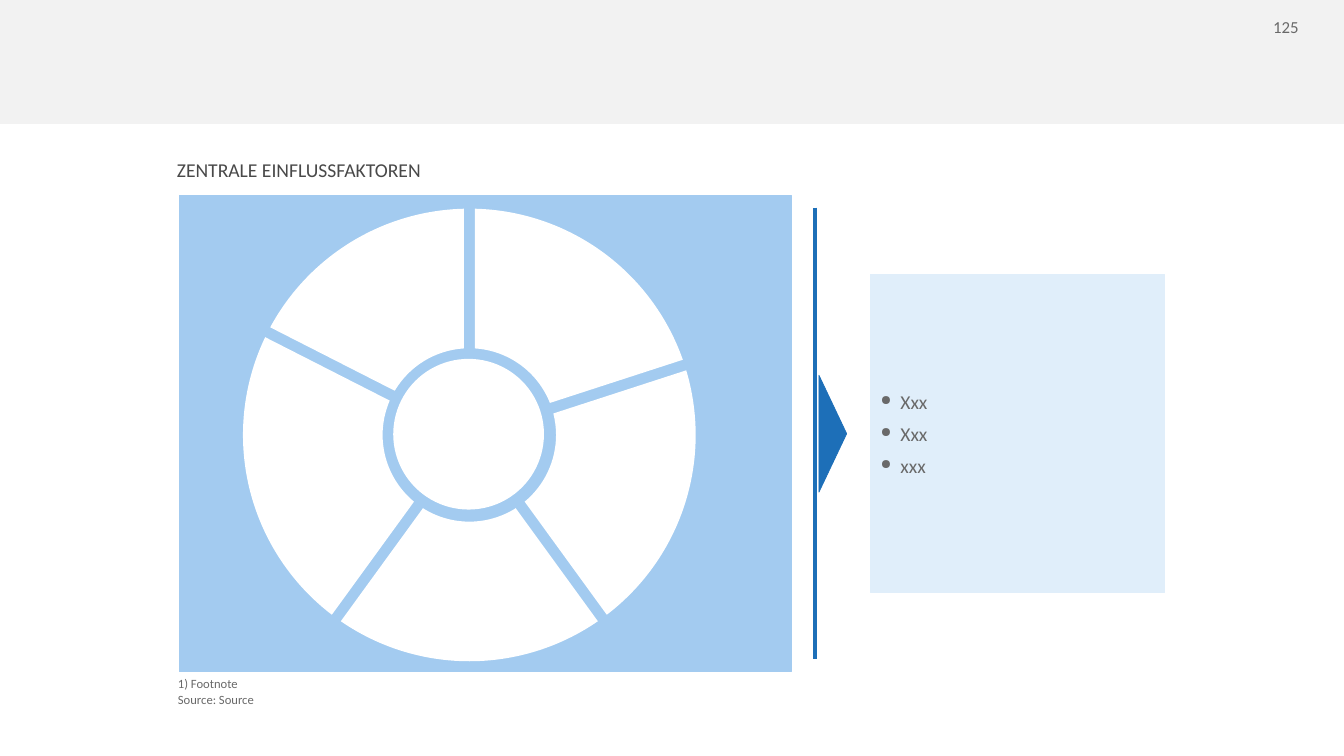
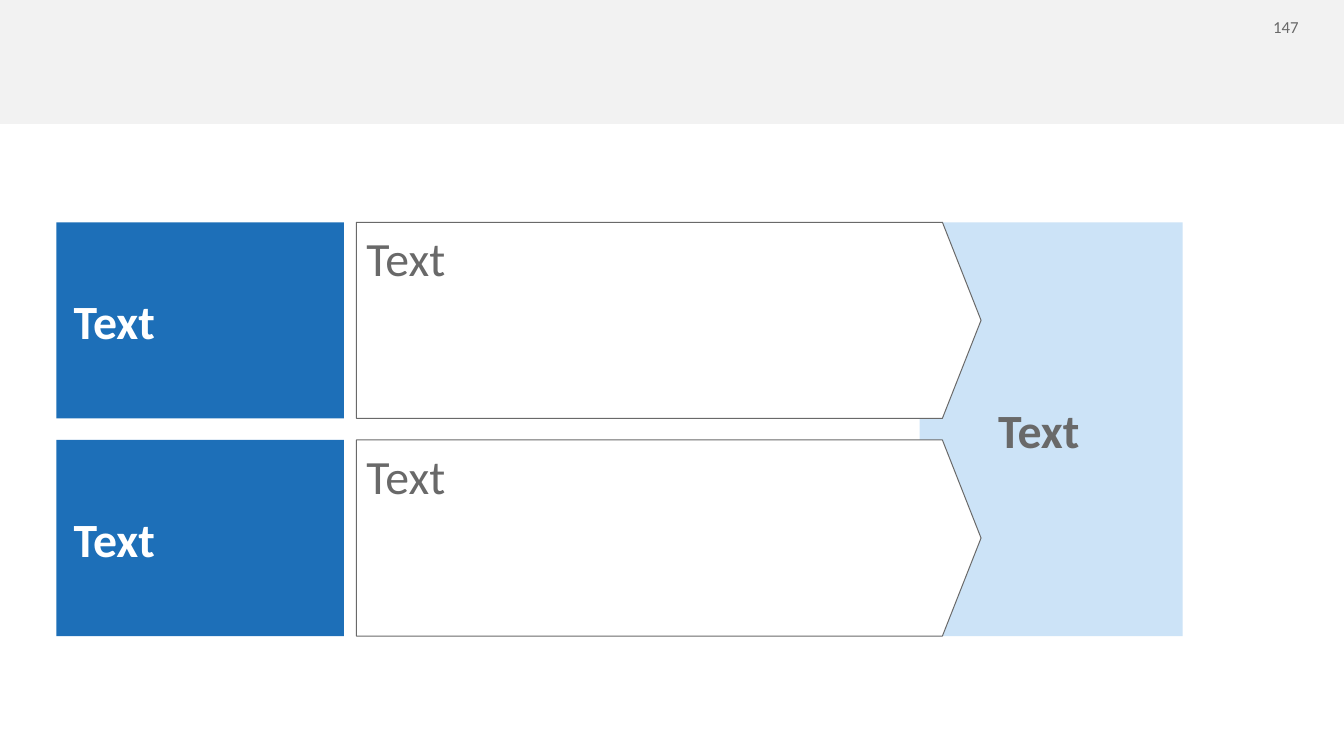
from dataclasses import dataclass
from itertools import pairwise
from math import asin, cos, radians, sin, tan
from typing import Any

from lxml.etree import Element, SubElement
from pptx import Presentation
from pptx.dml.color import RGBColor
from pptx.enum.shapes import MSO_CONNECTOR as Link, MSO_SHAPE as Form
from pptx.enum.text import MSO_ANCHOR as Anchor, MSO_AUTO_SIZE as Fit, PP_ALIGN as Align
from pptx.oxml.ns import qn
from pptx.slide import Slide
from pptx.util import Inches, Pt


@dataclass(frozen=True)
class Theme:
    font: str = "Calibri"
    white: str = "FFFFFF"
    band: str = "F2F2F2"
    gray: str = "696969"
    dark: str = "494949"
    blue: str = "1D6FB8"
    sky: str = "A3CBF0"
    pale: str = "CCE3F7"
    mist: str = "E0EEFA"
    small: float = 18
    page: float = 24
    body: float = 28
    large: float = 68.2


@dataclass(frozen=True)
class Box:
    left: float
    top: float
    width: float
    height: float

    def spot(self) -> tuple[Inches, ...]:
        return tuple(Inches(v) for v in (self.left, self.top, self.width, self.height))


@dataclass(frozen=True)
class Row:
    top: float
    label: str
    text: str


@dataclass(frozen=True)
class Knot:
    """Point on a ring around the wheel's centre, its angle clockwise from the top."""
    radius: float
    angle: float

    def spot(self, shift: float = 0) -> tuple[Inches, Inches]:
        """Place of the knot, moved along its tangent by shift radii."""
        x = sin(self.angle) + shift * cos(self.angle)
        y = shift * sin(self.angle) - cos(self.angle)
        return Inches(9.31 + self.radius * x), Inches(8.63 + self.radius * y)


THEME = Theme()
WIDE = (0.2, 0.1)
TIGHT = (0, 0)


# Shared tools
def tint(hue: str) -> RGBColor:
    return RGBColor.from_string(hue)


def paint(shape: Any, fill: str, line: str | None = None, weight: float = 1) -> None:
    shape.shadow.inherit = False
    shape.fill.solid()
    shape.fill.fore_color.rgb = tint(fill)
    if line:
        shape.line.color.rgb = tint(line)
        shape.line.width = Pt(weight)
    else:
        shape.line.fill.background()


def draw(shapes: Any, form: Form, box: Box, fill: str, line: str | None = None,
         weight: float = 1) -> Any:
    shape = shapes.add_shape(form, *box.spot())
    paint(shape, fill, line, weight)
    return shape


def add_dot(para: Any, hue: str) -> None:
    para.level = 1
    para.space_after = Pt(12)
    props = para._p.get_or_add_pPr()
    props.set("marL", str(Inches(0.39)))
    props.set("indent", str(-Inches(0.39)))
    color = SubElement(props, qn("a:buClr"))
    SubElement(color, qn("a:srgbClr"), val=hue)
    SubElement(props, qn("a:buSzPct"), val="70000")
    SubElement(props, qn("a:buChar"), char="●")


def write(shape: Any, text: str, *, size: float, hue: str = THEME.gray, bold: bool = False,
          align: Align = Align.LEFT, anchor: Anchor = Anchor.TOP,
          inset: tuple[float, float] = WIDE, wrap: bool = True, grow: bool = False,
          dots: bool = False) -> None:
    frame = shape.text_frame
    frame.word_wrap = wrap
    frame.auto_size = Fit.SHAPE_TO_FIT_TEXT if grow else Fit.NONE
    frame.vertical_anchor = anchor
    frame.margin_left = frame.margin_right = Inches(inset[0])
    frame.margin_top = frame.margin_bottom = Inches(inset[1])
    frame.text = text
    for para in frame.paragraphs:
        para.alignment = align
        if dots:
            add_dot(para, hue)
        font = para.font
        font.name, font.size, font.bold = THEME.font, Pt(size), bold
        font.color.rgb = tint(hue)


def add_text(slide: Slide, box: Box, text: str, **style: Any) -> None:
    write(slide.shapes.add_textbox(*box.spot()), text, **style)


def add_page(deck: Any, number: str) -> Slide:
    slide = deck.slides.add_slide(deck.slide_layouts[6])
    draw(slide.shapes, Form.RECTANGLE, Box(-0.17, 0, 27.02, 2.46), THEME.band)
    add_text(slide, Box(24.68, 0.24, 1.28, 0.61), number, size=THEME.page,
             align=Align.RIGHT, grow=True)
    return slide


# Wheel: ring parts between spokes, with gaps of even width
def arc(radius: float, start: float, end: float) -> list[Knot]:
    """Knots at both ends and where the arc is level or upright."""
    trim = asin(0.11 / radius)
    turns = [radians(a) for a in (90, 180, 270) if start < a < end]
    return [Knot(radius, a) for a in (radians(start) + trim, *turns, radians(end) - trim)]


def bend(edge: Any, shape: Any, start: Knot, end: Knot) -> None:
    """Turn a straight edge into a Bézier arc."""
    pull = 4 / 3 * tan((end.angle - start.angle) / 4)
    edge.tag = qn("a:cubicBezTo")
    for i, (x, y) in enumerate((start.spot(pull), end.spot(-pull))):
        edge.insert(i, Element(qn("a:pt"), x=str(x - shape.left), y=str(y - shape.top)))


def add_part(slide: Slide, start: float, end: float) -> None:
    knots = arc(4.49, start, end) + arc(1.72, start, end)[::-1]
    pen = slide.shapes.build_freeform(*knots[0].spot())
    pen.add_line_segments([knot.spot() for knot in knots[1:]], close=True)
    shape = pen.convert_to_shape()
    paint(shape, THEME.white)
    edges = list(shape._element.iter(qn("a:lnTo")))
    for edge, (a, b) in zip(edges, pairwise(knots)):
        if a.radius == b.radius:
            bend(edge, shape, a, b)


def add_pointer(slide: Slide) -> None:
    group = slide.shapes.add_group_shape().shapes
    x = Inches(16.16)
    bar = group.add_connector(Link.STRAIGHT, x, Inches(4.12), x, Inches(13.08))
    bar.line.color.rgb = tint(THEME.blue)
    bar.line.width = Pt(6)
    SubElement(bar._element.spPr, qn("a:effectLst"))
    head = draw(group, Form.ISOSCELES_TRIANGLE, Box(15.36, 8.33, 2.32, 0.55),
                THEME.blue, THEME.blue)
    head.rotation = 90


def build_wheel(deck: Any) -> None:
    slide = add_page(deck, "125")
    add_text(slide, Box(3.33, 13.31, 19.98, 0.81), "1) Footnote\nSource: Source",
             size=THEME.small, anchor=Anchor.BOTTOM, grow=True)
    draw(slide.shapes, Form.RECTANGLE, Box(3.56, 3.88, 12.13, 9.45), THEME.sky, THEME.sky)
    panel = draw(slide.shapes, Form.RECTANGLE, Box(17.27, 5.45, 5.83, 6.3),
                 THEME.mist, THEME.mist)
    write(panel, "Xxx\nXxx\nxxx", size=THEME.body, anchor=Anchor.MIDDLE, dots=True)
    for start, end in pairwise((0, 72, 144, 216, 297, 360)):
        add_part(slide, start, end)
    draw(slide.shapes, Form.OVAL, Box(7.8, 7.12, 2.99, 2.99), THEME.white)
    add_text(slide, Box(3.41, 3.09, 5.09, 0.57), "ZENTRALE EINFLUSSFAKTOREN",
             size=THEME.body, hue=THEME.dark, inset=(0.1, 0.05), wrap=False, grow=True)
    add_pointer(slide)


# Rows: label, arrow box and shared result
def add_row(slide: Slide, row: Row) -> None:
    draw(slide.shapes, Form.RECTANGLE, Box(1.12, row.top, 5.7, 3.89), THEME.blue)
    arrow = draw(slide.shapes, Form.PENTAGON, Box(7.07, row.top, 12.39, 3.89),
                 THEME.white, THEME.gray, 1.42)
    arrow.adjustments[0] = 0.197
    add_text(slide, Box(1.46, row.top + 1.66, 5.35, 0.57), row.label, size=THEME.large,
             hue=THEME.white, bold=True, anchor=Anchor.MIDDLE, inset=TIGHT)
    add_text(slide, Box(7.27, row.top + 0.13, 10.96, 0.57), row.text,
             size=THEME.large, inset=TIGHT)


def build_rows(deck: Any) -> None:
    slide = add_page(deck, "147")
    draw(slide.shapes, Form.RECTANGLE, Box(18.24, 4.41, 5.22, 8.21), THEME.pale)
    for row in (Row(4.41, "Text", "Text"), Row(8.73, "Text", "Text")):
        add_row(slide, row)
    add_text(slide, Box(19.8, 8.23, 3.66, 0.57), "Text", size=THEME.large, bold=True,
             anchor=Anchor.MIDDLE, inset=TIGHT)


def main() -> None:
    deck = Presentation()
    deck.slide_width, deck.slide_height = Inches(26.66), Inches(15)
    build_wheel(deck)
    build_rows(deck)
    deck.save("out.pptx")


if __name__ == "__main__":
    main()
